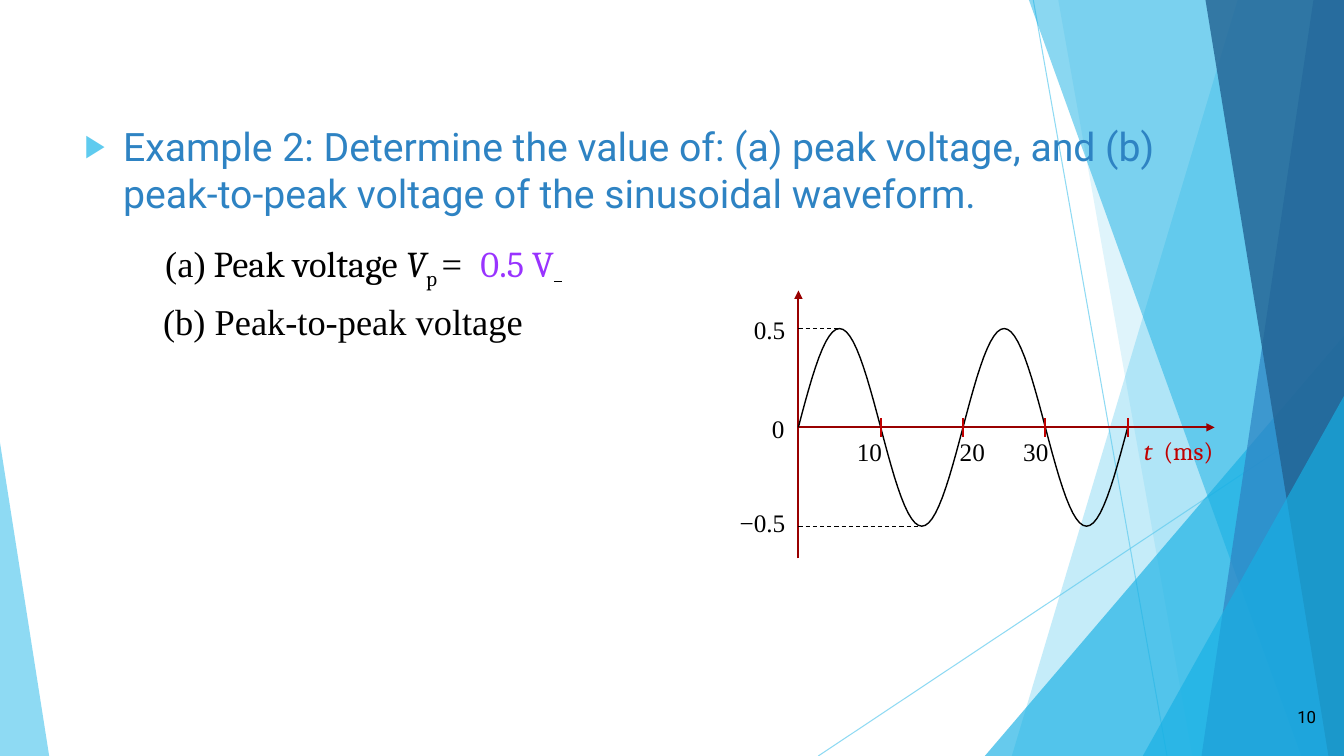
import math
from dataclasses import dataclass

from lxml import etree
from pptx import Presentation
from pptx import util as u
from pptx.dml.color import RGBColor
from pptx.enum import dml, shapes, text
from pptx.oxml import ns

COLORS = {
    "sky": "5FCBEF", "cyan": "17B0E4", "blue": "2E83C3", "navy": "226292",
    "axis": "990000", "tick": "C00000", "answer": "9933FF", "black": "000000",
}
SERIF, CAMBRIA, SANS = "Times New Roman", "Cambria", "Roboto"
PAGE_WIDTH, PAGE_HEIGHT = 33.87, 19.05
ORIGIN_X, ORIGIN_Y = 20.12, 10.77
AMPLITUDE, PERIOD, CYCLES = 2.49, 4.15, 2
CREST, TROUGH = ORIGIN_Y - AMPLITUDE, ORIGIN_Y + AMPLITUDE
LEFT, CENTER, RIGHT = text.PP_ALIGN.LEFT, text.PP_ALIGN.CENTER, text.PP_ALIGN.RIGHT


@dataclass
class Band:
    top_x: float
    bottom_x: float
    color: str
    opacity: int


@dataclass
class Wedge:
    left: float
    top: float
    width: float
    apex: float
    color: str
    opacity: int


@dataclass
class Stroke:
    start: tuple[float, float]
    end: tuple[float, float]
    color: str
    width: float
    opacity: int = 100
    dashed: bool = False
    arrow: bool = False


@dataclass
class Span:
    words: str
    size: float = 18
    font: str = SERIF
    color: str = "black"
    italic: bool = False
    underline: bool = False
    subscript: bool = False


@dataclass
class Label:
    place: tuple[float, float, float, float]
    spans: list[Span]
    align: text.PP_ALIGN = RIGHT
    inset: bool = True
    anchor: text.MSO_ANCHOR = text.MSO_ANCHOR.TOP


RAYS = [
    Stroke((26.04, 0), (29.41, PAGE_HEIGHT), "sky", 0.75, 70),
    Stroke((PAGE_WIDTH, 10.24), (20.62, PAGE_HEIGHT), "sky", 0.75, 70),
]
PANES = [
    Band(31.19, 25.5, "sky", 36),
    Band(26.67, 30.05, "sky", 20),
    Wedge(24.82, 8.46, 9.05, 1, "cyan", 66),
    Band(25.93, 32.79, "cyan", 50),
    Band(33.1, 30.28, "blue", 70),
    Band(30.38, 33.48, "navy", 80),
    Wedge(28.8, 9.98, 5.07, 1, "cyan", 66),
    Wedge(0, 11.15, 1.24, 0, "sky", 70),
]
AXES = [
    Stroke((ORIGIN_X, ORIGIN_Y), (30.61, ORIGIN_Y), "axis", 1.5, arrow=True),
    Stroke((ORIGIN_X, 14.07), (ORIGIN_X, 7.32), "axis", 1.5, arrow=True),
]
GUIDES = [
    Stroke((ORIGIN_X, level), (ORIGIN_X + PERIOD * phase, level), "black", 0.75, dashed=True)
    for level, phase in ((CREST, 0.25), (TROUGH, 0.75))
]
TICKS = [
    Stroke((x, 10.54), (x, 11.02), "tick", 1.5)
    for x in (ORIGIN_X + PERIOD / 2 * step for step in range(1, 2 * CYCLES + 1))
]
LABELS = [
    Label((19.28, 10.41, 0.66, 0.94), [Span("0")], CENTER, inset=False),
    Label((28.83, 10.97, 2.31, 1.02),
          [Span("t ", font=CAMBRIA, color="tick", italic=True),
           Span(" (ms)", font=CAMBRIA, color="tick")], LEFT, inset=False),
    Label((18.62, 7.8, 1.42, 1.27), [Span("0.5")]),
    Label((18.11, 12.67, 1.93, 1.27), [Span("−0.5")]),
    Label((21.21, 10.87, 1.27, 0.91), [Span("10")]),
    Label((23.8, 10.87, 1.27, 0.91), [Span("20")]),
    Label((25.48, 10.87, 1.19, 0.91), [Span("30")]),
    Label((3.86, 7.42, 10.92, 1.37), [Span("(b) Peak-to-peak voltage", 26)], LEFT),
    Label((31.52, 17.55, 1.9, 1.02), [Span("10", 12, SANS)], anchor=text.MSO_ANCHOR.MIDDLE),
]
QUESTION = [Span("Example 2: Determine the value of: (a) peak voltage, and (b) "
                 "peak-to-peak voltage of the sinusoidal waveform.", 28, SANS, "blue")]
ANSWER = [
    Span("(a)", 26),
    Span(" Peak voltage ", 26, CAMBRIA),
    Span("V", 26, CAMBRIA, italic=True),
    Span("p ", 26, CAMBRIA, subscript=True),
    Span("=  ", 26),
    Span("0.5 V", 26, CAMBRIA, "answer"),
    Span(" ", 26, CAMBRIA, underline=True),
]


def rgb(name: str) -> RGBColor:
    return RGBColor.from_string(COLORS[name])


def set_opacity(shape, percent: int) -> None:
    for color in shape._element.spPr.iter(ns.qn("a:srgbClr")):
        etree.SubElement(color, ns.qn("a:alpha"), val=str(percent * 1000))


def draw_stroke(page, stroke: Stroke) -> None:
    ends = [u.Cm(value) for value in stroke.start + stroke.end]
    connector = page.shapes.add_connector(shapes.MSO_CONNECTOR.STRAIGHT, *ends)
    connector.line.color.rgb = rgb(stroke.color)
    connector.line.width = u.Pt(stroke.width)
    if stroke.dashed:
        connector.line.dash_style = dml.MSO_LINE.DASH
    if stroke.arrow:
        outline = connector.line._get_or_add_ln()
        etree.SubElement(outline, ns.qn("a:tailEnd"), type="triangle")
    if stroke.opacity < 100:
        set_opacity(connector, stroke.opacity)
    etree.SubElement(connector._element.spPr, ns.qn("a:effectLst"))


def draw_outline(page, points: list[tuple[float, float]], close: bool):
    corners = [(u.Cm(x), u.Cm(y)) for x, y in points]
    builder = page.shapes.build_freeform(*corners[0])
    builder.add_line_segments(corners[1:], close=close)
    outline = builder.convert_to_shape()
    outline.shadow.inherit = False
    return outline


def draw_pane(page, pane: Band | Wedge) -> None:
    if isinstance(pane, Band):
        shape = draw_outline(page, [(pane.top_x, 0), (PAGE_WIDTH, 0),
                                    (PAGE_WIDTH, PAGE_HEIGHT), (pane.bottom_x, PAGE_HEIGHT)], True)
    else:
        place = (pane.left, pane.top, pane.width, PAGE_HEIGHT - pane.top)
        shape = page.shapes.add_shape(shapes.MSO_SHAPE.ISOSCELES_TRIANGLE, *map(u.Cm, place))
        shape.adjustments[0] = pane.apex
        shape.shadow.inherit = False
    shape.fill.solid()
    shape.fill.fore_color.rgb = rgb(pane.color)
    shape.line.fill.background()
    set_opacity(shape, pane.opacity)


def draw_wave(page) -> None:
    steps = 48 * CYCLES
    points = [(ORIGIN_X + PERIOD * CYCLES * step / steps,
               ORIGIN_Y - AMPLITUDE * math.sin(2 * math.pi * CYCLES * step / steps))
              for step in range(steps + 1)]
    wave = draw_outline(page, points, False)
    wave.fill.background()
    wave.line.color.rgb = rgb("black")
    wave.line.width = u.Pt(1)


def write_spans(para, spans: list[Span]) -> None:
    for span in spans:
        run = para.add_run()
        run.text = span.words
        run.font.size = u.Pt(span.size)
        run.font.name = span.font
        run.font.color.rgb = rgb(span.color)
        run.font.italic = span.italic
        run.font.underline = span.underline
        if span.subscript:
            run._r.get_or_add_rPr().set("baseline", "-25000")


def draw_label(page, label: Label) -> None:
    box = page.shapes.add_textbox(*map(u.Cm, label.place))
    frame = box.text_frame
    frame.word_wrap = True
    frame.vertical_anchor = label.anchor
    if not label.inset:
        frame.margin_left = frame.margin_right = frame.margin_top = frame.margin_bottom = 0
    para = frame.paragraphs[0]
    para.alignment = label.align
    write_spans(para, label.spans)


def fill_body(body) -> None:
    body.left, body.top, body.width, body.height = map(u.Cm, (1.88, 2.95, 29.62, 4.39))
    frame = body.text_frame
    frame.auto_size = text.MSO_AUTO_SIZE.NONE
    question, answer = frame.paragraphs[0], frame.add_paragraph()
    question.space_before = u.Pt(0)
    answer.space_before = u.Pt(18)
    answer.level = 1
    for para, margin in ((question, 0.97), (answer, 3)):
        properties = para._p.get_or_add_pPr()
        properties.set("marL", str(u.Cm(margin)))
        properties.set("indent", str(u.Cm(-0.97)))
    marks = question._p.get_or_add_pPr()
    tint = etree.SubElement(marks, ns.qn("a:buClr"))
    etree.SubElement(tint, ns.qn("a:srgbClr"), val=COLORS["sky"])
    etree.SubElement(marks, ns.qn("a:buSzPct"), val="80000")
    etree.SubElement(marks, ns.qn("a:buChar"), char="▶")
    etree.SubElement(answer._p.get_or_add_pPr(), ns.qn("a:buNone"))
    write_spans(question, QUESTION)
    write_spans(answer, ANSWER)


def main() -> None:
    deck = Presentation()
    deck.slide_width, deck.slide_height = u.Cm(PAGE_WIDTH), u.Cm(PAGE_HEIGHT)
    page = deck.slides.add_slide(deck.slide_layouts[1])
    title, body = page.shapes.title, page.placeholders[1]
    title._element.getparent().remove(title._element)
    for ray in RAYS:
        draw_stroke(page, ray)
    for pane in PANES:
        draw_pane(page, pane)
    fill_body(body)
    page.shapes._spTree.append(body._element)
    for stroke in AXES + GUIDES:
        draw_stroke(page, stroke)
    draw_wave(page)
    for label in LABELS:
        draw_label(page, label)
    for tick in TICKS:
        draw_stroke(page, tick)
    deck.save("out.pptx")


if __name__ == "__main__":
    main()
